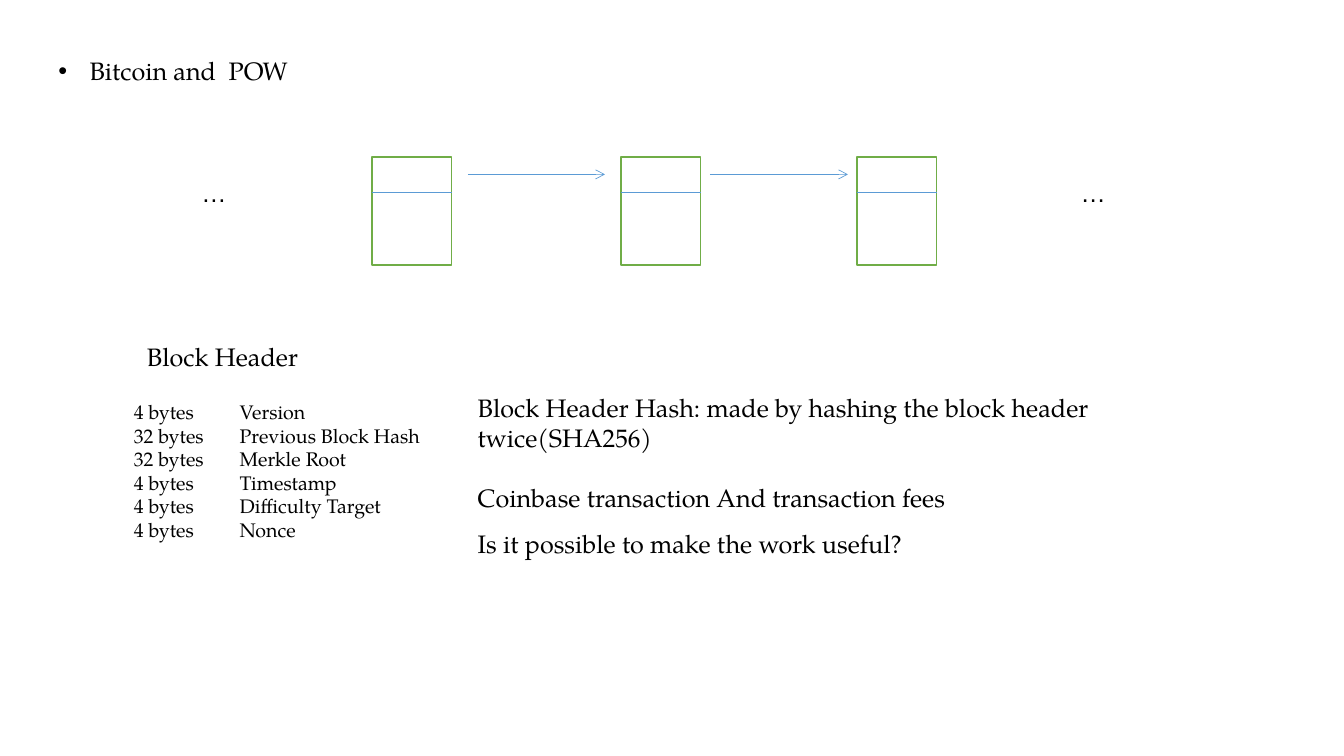
from pptx import Presentation
from pptx.dml.color import RGBColor
from pptx.enum.shapes import MSO_CONNECTOR, MSO_SHAPE
from pptx.enum.text import MSO_AUTO_SIZE
from pptx.oxml.ns import qn
from pptx.util import Inches, Pt
from lxml.etree import SubElement

# Content
SERIF, SANS = "TeX Gyre Pagella", "Arial"
COLORS = {"text": "000000", "block": "FFFFFF", "outline": "70AD47", "link": "5B9BD5"}
TITLE = "Bitcoin and  POW"
HEADER_FIELDS = [
    ("4 bytes", "Version"),
    ("32 bytes", "Previous Block Hash"),
    ("32 bytes", "Merkle Root"),
    ("4 bytes", "Timestamp"),
    ("4 bytes", "Difficulty Target"),
    ("4 bytes", "Nonce"),
]
HASH_NOTES = [
    "Block Header Hash: made by hashing the block header twice(SHA256)",
    "Coinbase transaction And transaction fees",
]
QUESTION = "Is it possible to make the work useful?"

# Layout in inches
BLOCK_LEFTS = [3.69, 6.16, 8.5]
BLOCK_TOP, BLOCK_WIDTH, BLOCK_HEIGHT = 1.56, 0.79, 1.07
DIVIDER_Y, ARROW_Y = 1.91, 1.73
ARROWS = [(4.64, 6), (7.04, 8.41)]
ELLIPSIS_LEFTS = [1.9, 10.62]
NOTES_LEFT = 4.64

presentation = Presentation()
presentation.slide_width, presentation.slide_height = Inches(13.33), Inches(7.5)
slide = presentation.slides.add_slide(presentation.slide_layouts[6])


def color(name):
    return RGBColor.from_string(COLORS[name])


def add_text(lines, left, top, width, height=0.4, size=18, font=SERIF, wrap=False):
    shape = slide.shapes.add_textbox(*map(Inches, (left, top, width, height)))
    frame = shape.text_frame
    frame.word_wrap = wrap
    frame.auto_size = MSO_AUTO_SIZE.SHAPE_TO_FIT_TEXT
    frame.text = "\n".join(lines)
    for paragraph in frame.paragraphs:
        paragraph.font.size = Pt(size)
        paragraph.font.name = font
        paragraph.font.color.rgb = color("text")
    return frame.paragraphs


def add_line(start, end, y, arrow=False):
    line = slide.shapes.add_connector(
        MSO_CONNECTOR.STRAIGHT, Inches(start), Inches(y), Inches(end), Inches(y))
    line.line.color.rgb = color("link")
    line.line.width = Pt(0.5)
    if arrow:
        SubElement(line.line._get_or_add_ln(), qn("a:tailEnd"), type="arrow")
    SubElement(line._element.spPr, qn("a:effectLst"))


# Bulleted title
title = add_text([TITLE], 0.48, 0.5, 2.49)[0]
properties = title._p.get_or_add_pPr()
properties.set("marL", str(Inches(0.31)))
properties.set("indent", str(Inches(-0.31)))
SubElement(properties, qn("a:buFont"), typeface=SANS)
SubElement(properties, qn("a:buChar"), char="•")
# Default run properties must follow the bullet
properties.append(properties.find(qn("a:defRPr")))

# Chain of blocks, each with a header strip
for left in BLOCK_LEFTS:
    block = slide.shapes.add_shape(
        MSO_SHAPE.RECTANGLE, *map(Inches, (left, BLOCK_TOP, BLOCK_WIDTH, BLOCK_HEIGHT)))
    block.shadow.inherit = False
    block.fill.solid()
    block.fill.fore_color.rgb = color("block")
    block.line.color.rgb = color("outline")
    block.line.width = Pt(1)
    add_line(left, left + BLOCK_WIDTH, DIVIDER_Y)
for start, end in ARROWS:
    add_line(start, end, ARROW_Y, arrow=True)
for left in ELLIPSIS_LEFTS:
    add_text(["…"], left, 1.71, 0.45, font=SANS)

# Block header fields
add_text(["Block Header"], 1.36, 3.34, 1.7)
add_text([f"{size}\t {field}" for size, field in HEADER_FIELDS],
         1.23, 3.92, 3.41, 1.51, size=14, wrap=True)

# Notes
notes = add_text(HASH_NOTES, NOTES_LEFT, 3.84, 8, 1.01, wrap=True)
notes[1].space_before = Pt(21.5)
add_text([QUESTION], NOTES_LEFT, 5.19, 4.43)

presentation.save("out.pptx")
